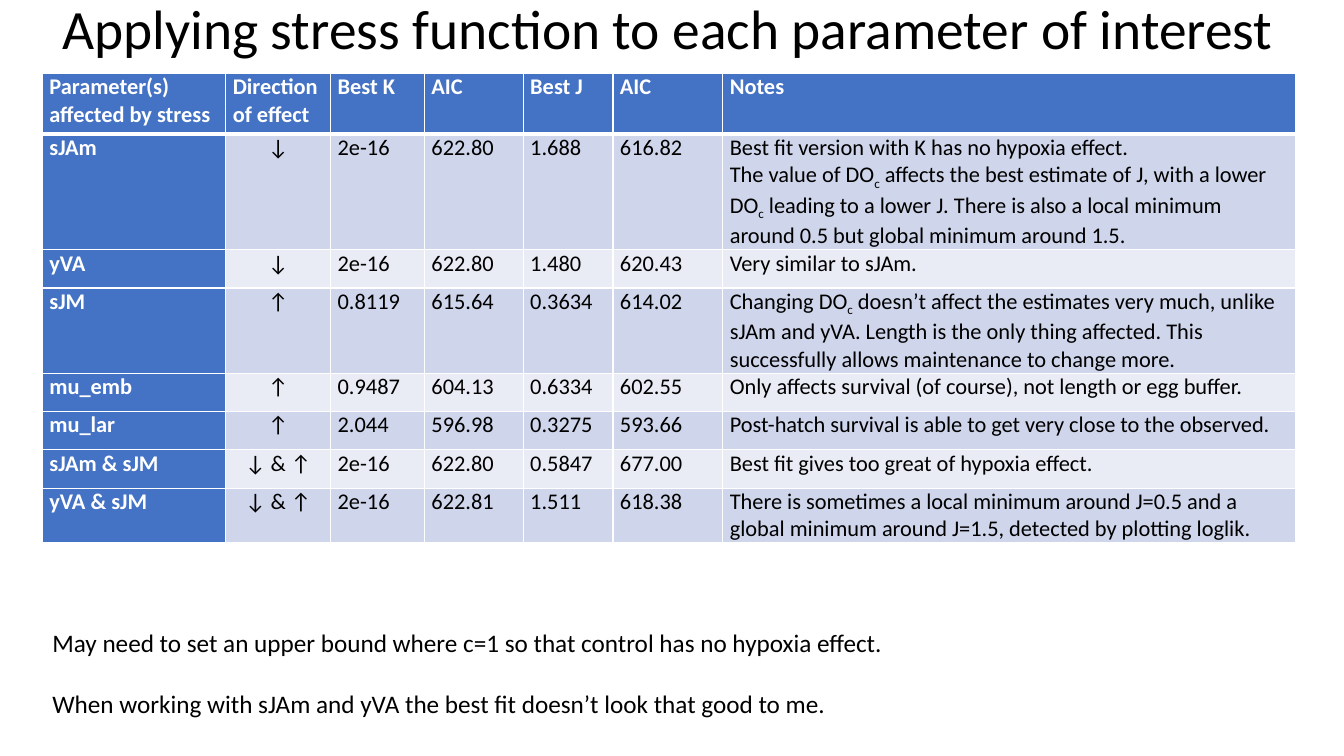
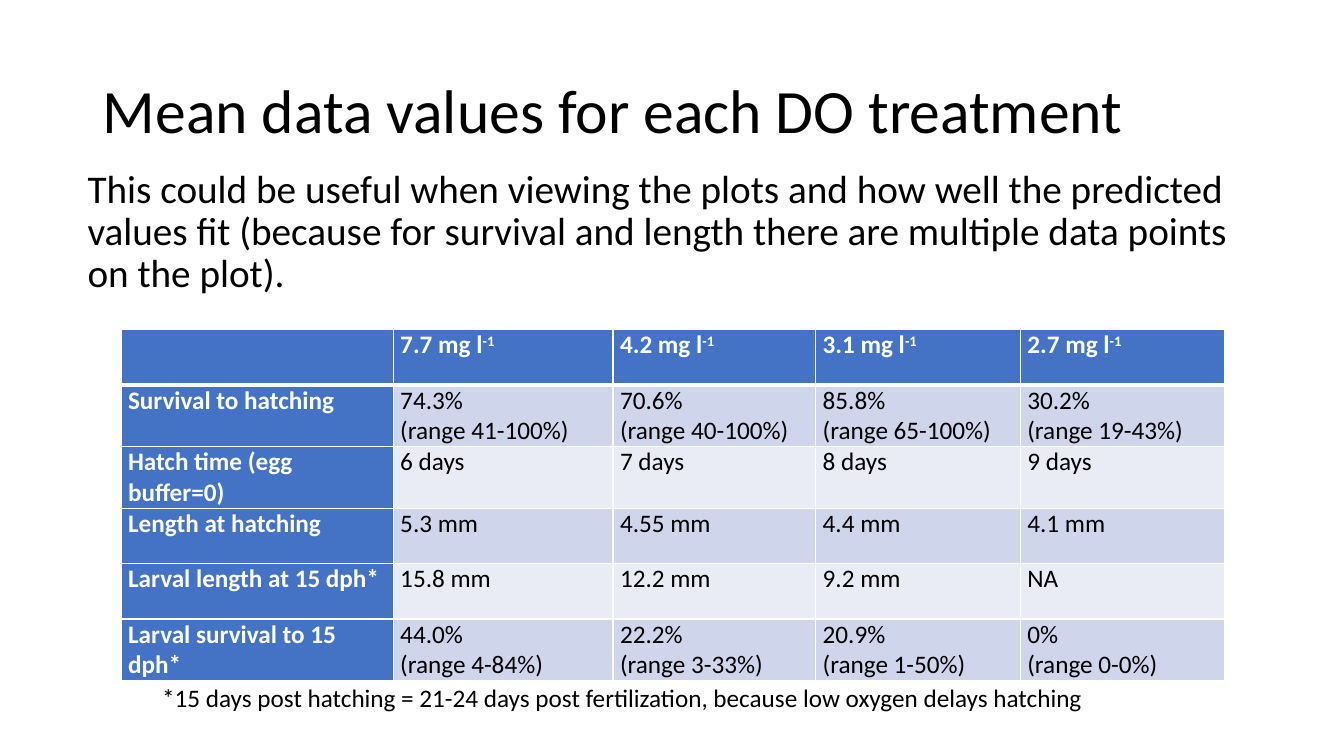
from lxml import etree
from pptx import Presentation
from pptx.dml.color import RGBColor
from pptx.enum.text import MSO_ANCHOR, MSO_AUTO_SIZE, PP_ALIGN
from pptx.oxml.ns import qn
from pptx.util import Pt

LEFT, CENTER = PP_ALIGN.LEFT, PP_ALIGN.CENTER
MIDDLE = MSO_ANCHOR.MIDDLE
NO_FIT = MSO_AUTO_SIZE.NONE
PX = 9144  # 100 px to the inch
FONT = "Calibri"
BLACK, WHITE, BLUE = "000000", "FFFFFF", "4472C4"
BANDS = ["CFD5EA", "E9EBF5"]


def rgb(code):
    return RGBColor.from_string(code)


def put(frame, text, size=18, color=BLACK, bold=False, align=LEFT,
        line=None, gap=0, shift=0):
    """Write one paragraph per line; text between bars is raised by shift %."""
    frame.word_wrap = True
    for i, row in enumerate(text.split("\n")):
        para = frame.add_paragraph() if i else frame.paragraphs[0]
        para.alignment = align
        if line:
            para.line_spacing = line
        if i and gap:
            para.space_before = Pt(gap)
        for j, part in enumerate(row.split("|")):
            run = para.add_run()
            run.text = part
            font = run.font
            font.name, font.size, font.bold = FONT, Pt(size), bold
            font.color.rgb = rgb(color)
            if j % 2:
                run._r.get_or_add_rPr().set("baseline", str(shift * 1000))


prs = Presentation()
prs.slide_width, prs.slide_height = 1333 * PX, 750 * PX

# Content: boxes are left, top, width, height
pages = [
    dict(
        title="Applying stress function to each parameter of interest",
        place=(52, 2, 1233, 59), size=39.6,
        spot=(42, 73), cols=[182, 104, 93, 98, 89, 109, 568],
        rows=[60, 60] + [38] * 6, cell=16, shift=-25, mid=1,
        data=[
            ["Parameter(s) affected by stress", "Direction of effect",
             "Best K", "AIC", "Best J", "AIC", "Notes"],
            ["sJAm", "↓", "2e-16", "622.80", "1.688", "616.82",
             "Best fit version with K has no hypoxia effect.\n"
             "The value of DO|c| affects the best estimate of J, with a lower "
             "DO|c| leading to a lower J. There is also a local minimum "
             "around 0.5 but global minimum around 1.5."],
            ["yVA", "↓", "2e-16", "622.80", "1.480", "620.43",
             "Very similar to sJAm."],
            ["sJM", "↑", "0.8119", "615.64", "0.3634", "614.02",
             "Changing DO|c| doesn’t affect the estimates very much, unlike "
             "sJAm and yVA. Length is the only thing affected. This "
             "successfully allows maintenance to change more."],
            ["mu_emb", "↑", "0.9487", "604.13", "0.6334", "602.55",
             "Only affects survival (of course), not length or egg buffer."],
            ["mu_lar", "↑", "2.044", "596.98", "0.3275", "593.66",
             "Post-hatch survival is able to get very close to the observed."],
            ["sJAm & sJM", "↓ & ↑", "2e-16", "622.80", "0.5847", "677.00",
             "Best fit gives too great of hypoxia effect."],
            ["yVA & sJM", "↓ & ↑", "2e-16", "622.81", "1.511", "618.38",
             "There is sometimes a local minimum around J=0.5 and a global "
             "minimum around J=1.5, detected by plotting loglik."],
        ],
        texts=[
            ((42, 617, 1268, 101),
             "May need to set an upper bound where c=1 so that control has no "
             "hypoxia effect.\nWhen working with sJAm and yVA the best fit "
             "doesn’t look that good to me.", dict(gap=22)),
        ],
    ),
    dict(
        title="Mean data values for each DO treatment",
        place=(92, 40, 1045, 145), size=44,
        spot=(120, 327), cols=[270, 218, 201, 203, 203],
        rows=[55] * 6, cell=18, shift=30, mid=None,
        data=[
            ["", "7.7 mg l|-1|", "4.2 mg l|-1|", "3.1 mg l|-1|",
             "2.7 mg l|-1|"],
            ["Survival to hatching", "74.3%\n(range 41-100%)",
             "70.6%\n(range 40-100%)", "85.8%\n(range 65-100%)",
             "30.2%\n(range 19-43%)"],
            ["Hatch time (egg buffer=0)", "6 days", "7 days", "8 days",
             "9 days"],
            ["Length at hatching", "5.3 mm", "4.55 mm", "4.4 mm", "4.1 mm"],
            ["Larval length at 15 dph*", "15.8 mm", "12.2 mm", "9.2 mm", "NA"],
            ["Larval survival to 15 dph*", "44.0%\n(range 4-84%)",
             "22.2%\n(range 3-33%)", "20.9%\n(range 1-50%)",
             "0%\n(range 0-0%)"],
        ],
        texts=[
            ((77, 163, 1164, 150),
             "This could be useful when viewing the plots and how well the "
             "predicted values fit (because for survival and length there are "
             "multiple data points on the plot).", dict(size=28, line=0.9)),
            ((151, 672, 971, 71),
             "*15 days post hatching = 21-24 days post fertilization, because "
             "low oxygen delays hatching", {}),
        ],
    ),
]

for page in pages:
    slide = prs.slides.add_slide(prs.slide_layouts[5])

    # Title
    title = slide.shapes.title
    title.left, title.top, title.width, title.height = [
        n * PX for n in page["place"]]
    frame = title.text_frame
    frame.auto_size, frame.vertical_anchor = NO_FIT, MIDDLE
    put(frame, page["title"], size=page["size"], line=0.9)

    # Table
    cols, rows = page["cols"], page["rows"]
    box = [n * PX for n in (*page["spot"], sum(cols), sum(rows))]
    table = slide.shapes.add_table(len(rows), len(cols), *box).table
    for col, width in zip(table.columns, cols):
        col.width = width * PX
    for row, height in zip(table.rows, rows):
        row.height = height * PX
    for r, line in enumerate(page["data"]):
        for c, text in enumerate(line):
            cell = table.cell(r, c)
            head = r == 0 or c == 0
            cell.margin_left = cell.margin_right = 7 * PX
            cell.margin_top = cell.margin_bottom = 0
            cell.fill.solid()
            cell.fill.fore_color.rgb = rgb(BLUE if head else BANDS[(r - 1) % 2])
            put(cell.text_frame, text, size=page["cell"], bold=head,
                color=WHITE if head else BLACK, shift=page["shift"],
                align=CENTER if c == page["mid"] and not head else LEFT)

            # White borders, thick below the header row
            thick = {0: "lnB", 1: "lnT"}.get(r)
            props = cell._tc.get_or_add_tcPr()
            for i, side in enumerate(["lnL", "lnR", "lnT", "lnB"]):
                edge = etree.Element(qn("a:" + side))
                edge.set("w", str(Pt(3 if side == thick else 1)))
                fill = etree.SubElement(edge, qn("a:solidFill"))
                etree.SubElement(fill, qn("a:srgbClr")).set("val", WHITE)
                props.insert(i, edge)

    # Text around the table
    for place, text, style in page["texts"]:
        area = slide.shapes.add_textbox(*[n * PX for n in place])
        put(area.text_frame, text, **style)

prs.save("out.pptx")
